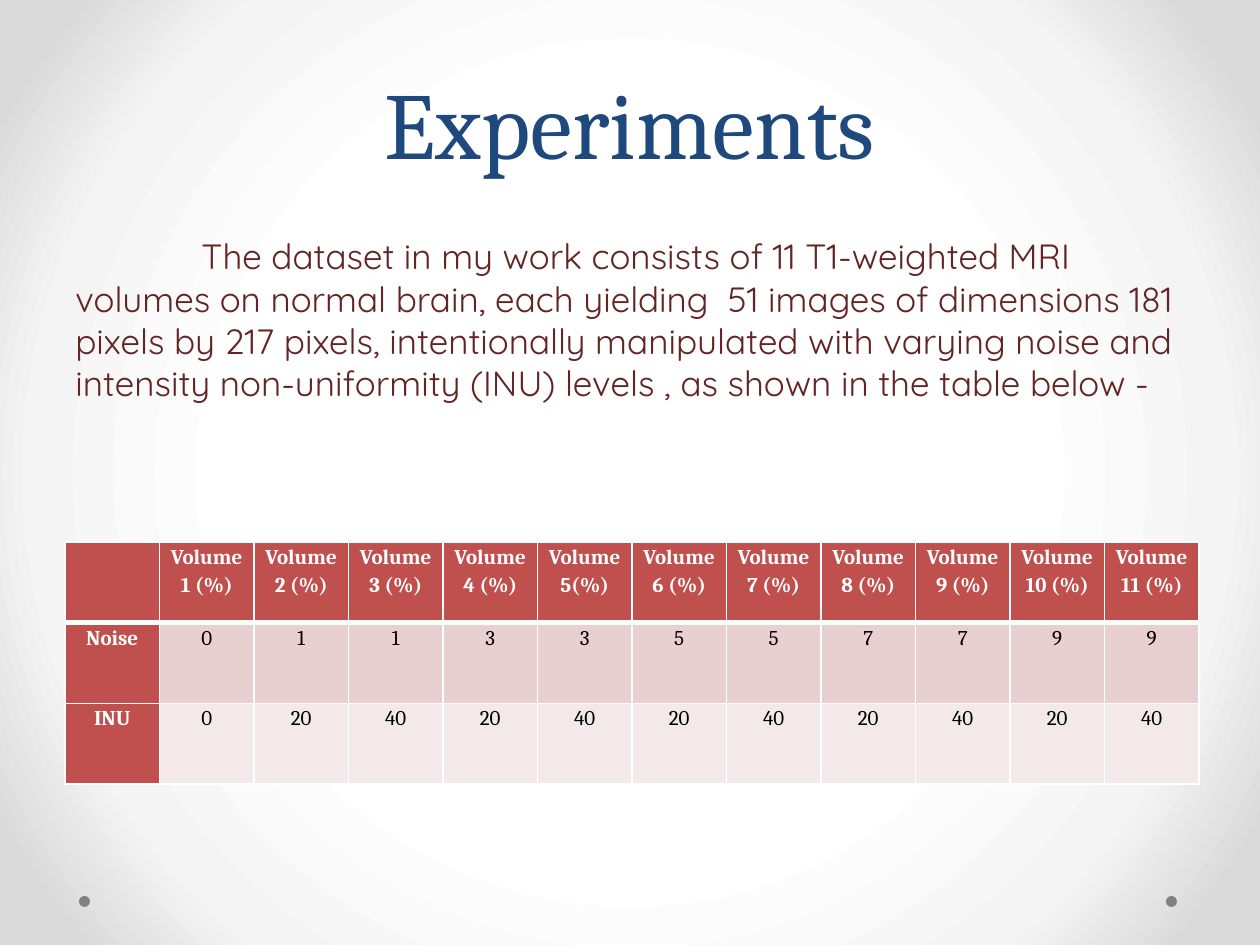
from lxml import etree
from pptx import Presentation
from pptx.dml.color import RGBColor
from pptx.enum.shapes import MSO_SHAPE
from pptx.enum.text import MSO_ANCHOR, PP_ALIGN
from pptx.oxml import parse_xml
from pptx.oxml.ns import nsdecls, qn
from pptx.util import Pt

OVAL = MSO_SHAPE.OVAL
LEFT, MID = PP_ALIGN.LEFT, PP_ALIGN.CENTER
TOP, LOW = MSO_ANCHOR.TOP, MSO_ANCHOR.BOTTOM
SCALE = 914400 / 126
HEX = {
    "white": "FFFFFF", "pale": "F4F4F4", "edge": "DADADA", "dot": "808080",
    "title": "1F497D", "body": "632523", "black": "000000",
    "head": "C0504D", "noise": "E8D0D0", "inu": "F4E9E9",
}
GLOW = [(50, "white"), (76, "pale"), (92, "edge")]


def px(num):
    return round(num * SCALE)


def color(name):
    return RGBColor.from_string(HEX[name])


def write(para, text, font="Cambria", size=12, ink="black", bold=False,
          align=LEFT, gap=None):
    para.alignment = align
    if gap:
        para.line_spacing = gap
    run = para.add_run()
    run.text = text
    run.font.name = font
    run.font.size = Pt(size)
    run.font.bold = bold
    run.font.color.rgb = color(ink)


class Deck:
    def __init__(self, wide, high):
        self.prs = Presentation()
        self.prs.slide_width, self.prs.slide_height = px(wide), px(high)
        self.slide = self.prs.slides.add_slide(self.prs.slide_layouts[6])

    def glow(self, stops):
        self.slide.background.fill.gradient()
        grad = self.slide.element.find(".//" + qn("a:gradFill"))
        for kid in list(grad):
            grad.remove(kid)
        group = etree.SubElement(grad, qn("a:gsLst"))
        for spot, name in stops:
            stop = etree.SubElement(group, qn("a:gs"), pos=str(spot * 1000))
            etree.SubElement(stop, qn("a:srgbClr"), val=HEX[name])
        way = etree.SubElement(grad, qn("a:path"), path="circle")
        etree.SubElement(way, qn("a:fillToRect"), l="50000", t="50000",
                         r="50000", b="50000")

    def dot(self, left, top, size):
        dot = self.slide.shapes.add_shape(OVAL, px(left), px(top), px(size), px(size))
        dot.shadow.inherit = False
        dot.fill.solid()
        dot.fill.fore_color.rgb = color("dot")
        dot.line.fill.background()

    def text(self, left, top, wide, high, anchor=TOP):
        box = self.slide.shapes.add_textbox(px(left), px(top), px(wide), px(high))
        frame = box.text_frame
        frame.word_wrap = True
        frame.vertical_anchor = anchor
        return frame.paragraphs[0]

    def tab(self, para, spot):
        tabs = etree.SubElement(para._p.get_or_add_pPr(), qn("a:tabLst"))
        etree.SubElement(tabs, qn("a:tab"), pos=str(px(spot)), algn="l")

    def border(self, cell, top, low):
        props = cell._tc.get_or_add_tcPr()
        for spot, (side, width) in enumerate(zip("LRTB", (1, 1, top, low))):
            props.insert(spot, parse_xml(
                f'<a:ln{side} {nsdecls("a")} w="{Pt(width)}"><a:solidFill>'
                f'<a:srgbClr val="{HEX["white"]}"/></a:solidFill></a:ln{side}>'))

    def table(self, left, top, wide, high, rows, fills):
        grid = self.slide.shapes.add_table(
            len(rows), len(rows[0]), px(left), px(top), px(wide), px(high)).table
        for y, (row, shade) in enumerate(zip(rows, fills)):
            for x, text in enumerate(row):
                cell = grid.cell(y, x)
                head = x == 0 or y == 0
                cell.fill.solid()
                cell.fill.fore_color.rgb = color("head" if head else shade)
                cell.margin_left = cell.margin_right = px(9)
                cell.margin_top = cell.margin_bottom = 0
                self.border(cell, 3 if y == 1 else 1, 3 if y == 0 else 1)
                if text:
                    write(cell.text_frame.paragraphs[0], text, bold=head,
                          ink="white" if head else "black", align=MID, gap=1.15)


def main():
    deck = Deck(1260, 945)
    deck.glow(GLOW)
    for left in (1166, 79):
        deck.dot(left, 896, 11)

    title = deck.text(63, 0, 1134, 185, LOW)
    write(title, "Experiments", size=54, ink="title", align=MID, gap=Pt(58))

    body = deck.text(63, 221, 1134, 252)
    deck.tab(body, 126)
    write(body, "\t", font="Quicksand", size=24, ink="body")
    write(body, "The dataset in my work consists of 11 T1-weighted MRI volumes "
          "on normal brain, each yielding  51 images of dimensions 181 pixels "
          "by 217 pixels, intentionally manipulated with varying noise and "
          "intensity non-uniformity (INU) levels , as shown in the table below -",
          font="Quicksand", size=20, ink="body")

    heads = [f"Volume {n}(%)" if n == 5 else f"Volume {n} (%)" for n in range(1, 12)]
    rows = [
        ["", *heads],
        ["Noise", *"01133557799"],
        ["INU", "0", *["20", "40"] * 5],
    ]
    deck.table(65, 542, 1134, 242, rows, ["head", "noise", "inu"])
    deck.prs.save("out.pptx")


if __name__ == "__main__":
    main()
